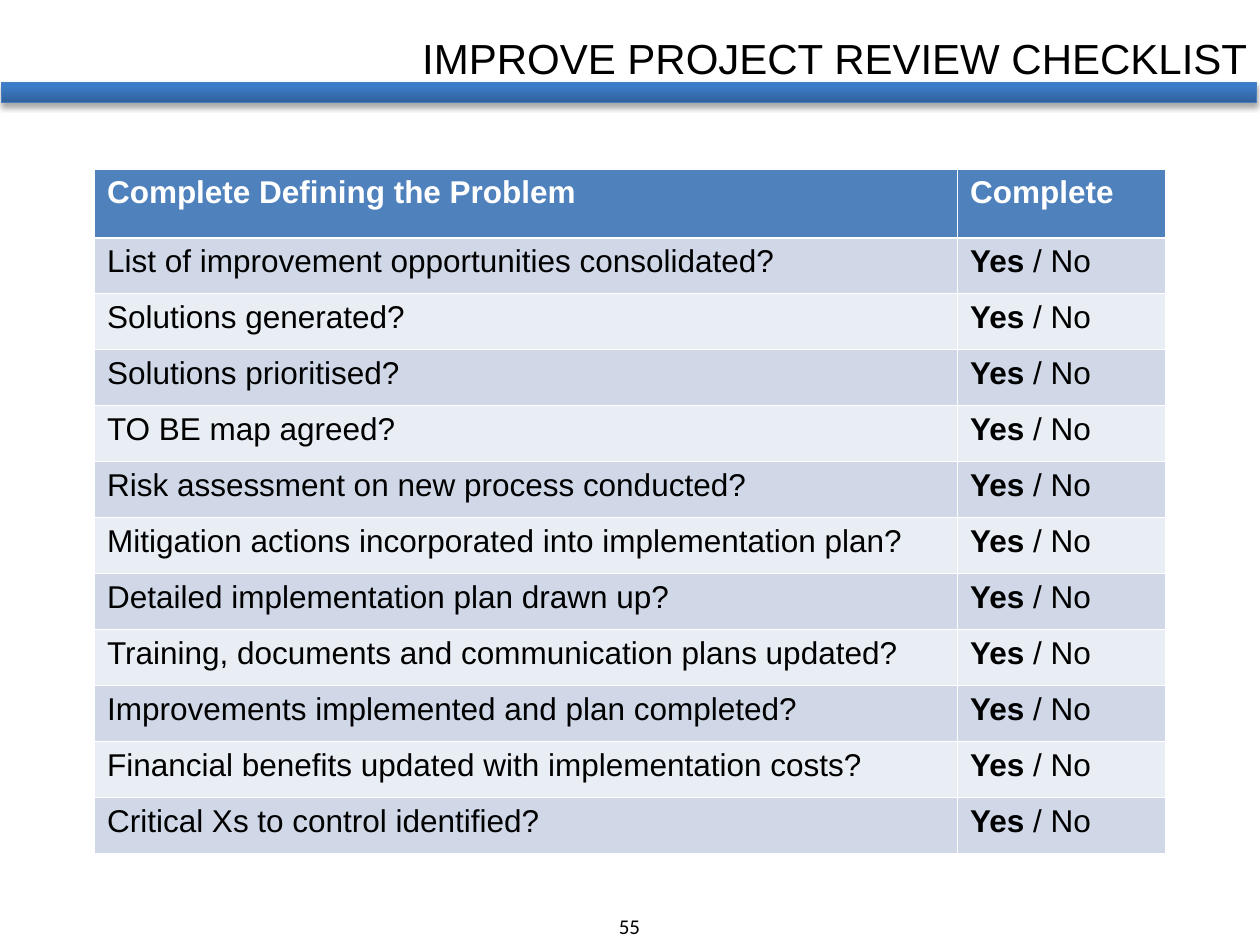
from copy import deepcopy
from typing import NamedTuple

from lxml.etree import SubElement
from pptx import Presentation
from pptx.dml.color import RGBColor
from pptx.enum.shapes import MSO_SHAPE
from pptx.enum.text import PP_ALIGN
from pptx.oxml.ns import qn
from pptx.slide import Slide
from pptx.table import _Cell
from pptx.util import Pt


class Box(NamedTuple):
    left: float
    top: float
    width: float
    height: float

    def points(self) -> list[Pt]:
        return [Pt(length) for length in self]


class Label(NamedTuple):
    text: str
    box: Box
    size: float
    font: str
    align: PP_ALIGN


class Stop(NamedTuple):
    position: float
    color: str


LABELS = [
    Label("55", Box(337, 518.4, 45.4, 21.6), 12, "Calibri", PP_ALIGN.CENTER),
    Label("IMPROVE PROJECT REVIEW CHECKLIST", Box(206.6, 15.1, 513.4, 36),
          24, "Arial", PP_ALIGN.RIGHT),
]
BAR_BOX = Box(0.7, 47.3, 717.2, 11.5)
BAR_STOPS = [Stop(0, "2F5F99"), Stop(0.8, "3D7CC7"), Stop(1, "3A7CCB")]

TABLE_BOX = Box(54, 96.5, 612, 391)
COLUMN_WIDTHS = [493.2, 118.8]
HEADER_HEIGHT, ROW_HEIGHT = 39.4, 32
HEADINGS = ["Complete Defining the Problem", "Complete"]
QUESTIONS = [
    "List of improvement opportunities consolidated?",
    "Solutions generated?",
    "Solutions prioritised?",
    "TO BE map agreed?",
    "Risk assessment on new process conducted?",
    "Mitigation actions incorporated into implementation plan?",
    "Detailed implementation plan drawn up?",
    "Training, documents and communication plans updated?",
    "Improvements implemented and plan completed?",
    "Financial benefits updated with implementation costs?",
    "Critical Xs to control identified?",
]
HEADER_FILL = "4F81BD"
BAND_FILLS = ["D0D8E8", "E9EDF4"]


def rgb(color: str) -> RGBColor:
    return RGBColor.from_string(color)


def draw_label(slide: Slide, label: Label) -> None:
    frame = slide.shapes.add_textbox(*label.box.points()).text_frame
    frame.word_wrap = True
    paragraph = frame.paragraphs[0]
    paragraph.text = label.text
    paragraph.alignment = label.align
    paragraph.font.size = Pt(label.size)
    paragraph.font.name = label.font
    paragraph.font.color.rgb = rgb("000000")


def draw_bar(slide: Slide) -> None:
    bar = slide.shapes.add_shape(MSO_SHAPE.RECTANGLE, *BAR_BOX.points())
    bar.line.color.rgb = rgb("4B7EBC")
    bar.line.width = Pt(0.75)

    # Gradient rising from the bottom edge; a new gradient has two stops
    bar.fill.gradient()
    bar.fill.gradient_angle = 90
    stop_list = bar.element.xpath(".//a:gsLst")[0]
    stop_list.append(deepcopy(stop_list[-1]))
    for gradient_stop, stop in zip(bar.fill.gradient_stops, BAR_STOPS):
        gradient_stop.position = stop.position
        gradient_stop.color.rgb = rgb(stop.color)

    # Soft shadow below
    bar.shadow.inherit = False
    effects = bar.element.xpath("./p:spPr/a:effectLst")[0]
    shadow = SubElement(effects, qn("a:outerShdw"), blurRad=str(Pt(3.1)),
                        dist=str(Pt(1.8)), dir="5400000", rotWithShape="0")
    shade = SubElement(shadow, qn("a:srgbClr"), val="000000")
    SubElement(shade, qn("a:alpha"), val="35000")


def fill_cell(cell: _Cell, runs: list[tuple[str, bool]], fill: str, color: str) -> None:
    cell.fill.solid()
    cell.fill.fore_color.rgb = rgb(fill)
    paragraph = cell.text_frame.paragraphs[0]
    paragraph.font.size = Pt(18)
    paragraph.font.name = "Arial"
    paragraph.font.color.rgb = rgb(color)
    for text, bold in runs:
        run = paragraph.add_run()
        run.text = text
        run.font.bold = bold


def draw_checklist(slide: Slide) -> None:
    # The default table style supplies the white rules
    checklist = slide.shapes.add_table(
        len(QUESTIONS) + 1, len(HEADINGS), *TABLE_BOX.points()).table
    for column, width in zip(checklist.columns, COLUMN_WIDTHS):
        column.width = Pt(width)
    for index, row in enumerate(checklist.rows):
        row.height = Pt(ROW_HEIGHT if index else HEADER_HEIGHT)

    for column, heading in enumerate(HEADINGS):
        fill_cell(checklist.cell(0, column), [(heading, True)], HEADER_FILL, "FFFFFF")
    for index, question in enumerate(QUESTIONS):
        fill = BAND_FILLS[index % 2]
        answer = [("Yes", True), (" / No", False)]
        for column, runs in enumerate([[(question, False)], answer]):
            fill_cell(checklist.cell(index + 1, column), runs, fill, "000000")


def main() -> None:
    presentation = Presentation()
    presentation.slide_width, presentation.slide_height = Pt(720), Pt(540)
    slide = presentation.slides.add_slide(presentation.slide_layouts[6])

    # Page number, heading bar and title
    page_number, title = LABELS
    draw_label(slide, page_number)
    draw_bar(slide)
    draw_label(slide, title)

    # Review questions
    draw_checklist(slide)
    presentation.save("out.pptx")


if __name__ == "__main__":
    main()
